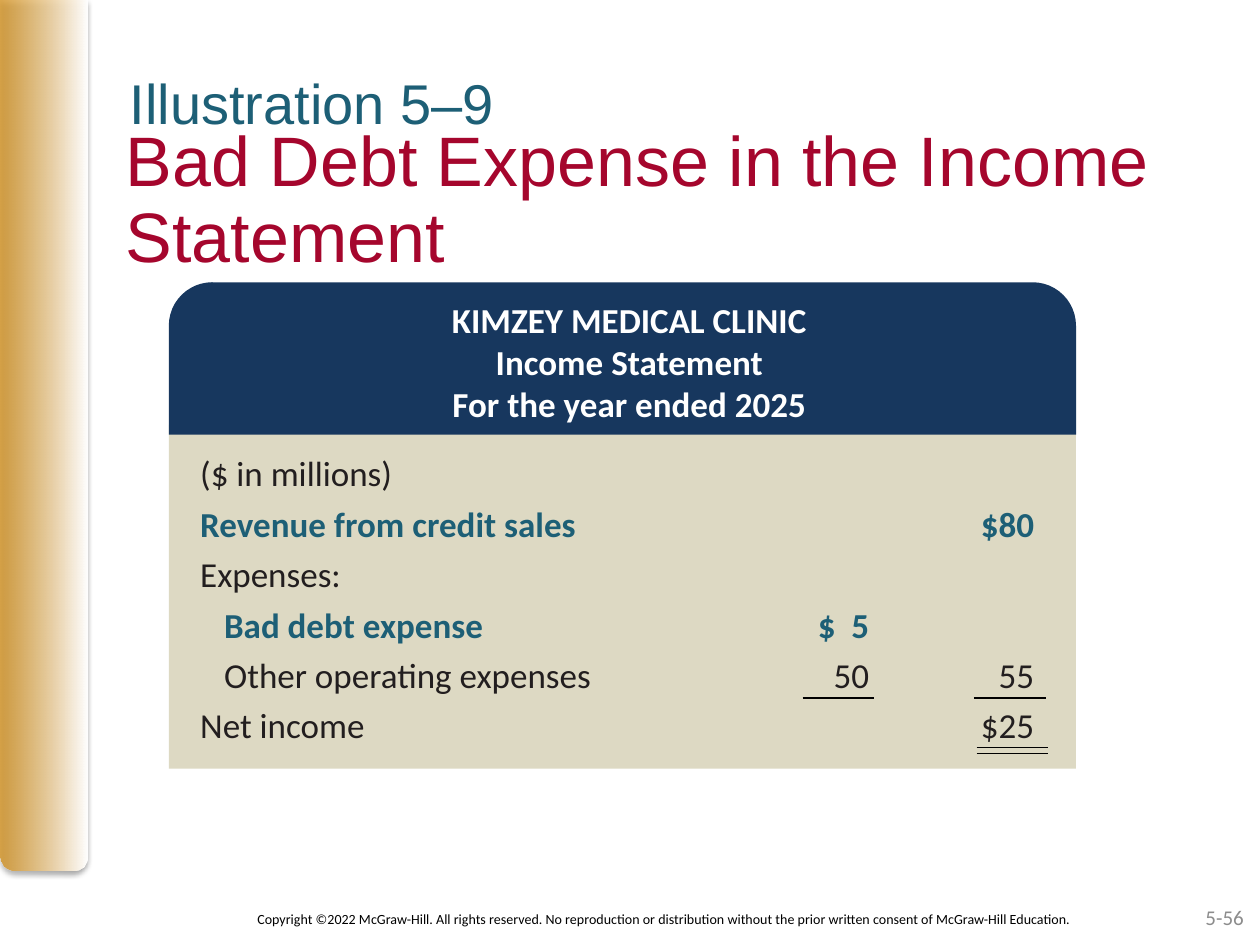
from lxml.etree import SubElement
from pptx import Presentation
from pptx.dml.color import RGBColor
from pptx.enum.shapes import MSO_CONNECTOR, MSO_SHAPE
from pptx.enum.text import MSO_ANCHOR, PP_ALIGN
from pptx.oxml.ns import qn
from pptx.util import Inches, Pt

GOLD = RGBColor(0xD4, 0x93, 0x23)
WHITE = RGBColor(0xFF, 0xFF, 0xFF)
BLACK = RGBColor(0x00, 0x00, 0x00)
GRAY = RGBColor(0x8C, 0x8C, 0x8C)
CRIMSON = RGBColor(0xA5, 0x06, 0x2D)
TEAL = RGBColor(0x1D, 0x5F, 0x76)
SAND = RGBColor(0xDD, 0xD9, 0xC3)
NAVY = RGBColor(0x17, 0x37, 0x5E)
INK = RGBColor(0x22, 0x1E, 0x1F)

COPYRIGHT = ("Copyright ©2022 McGraw-Hill. All rights reserved. No reproduction or "
             "distribution without the prior written consent of McGraw-Hill Education.")
HEADING = ["KIMZEY MEDICAL CLINIC", "Income Statement", "For the year ended 2025"]
STATEMENT = [
    {"label": "($ in millions)"},
    {"label": "Revenue from credit sales", "total": "$80", "strong": True},
    {"label": "Expenses:"},
    {"label": "Bad debt expense", "detail": "$  5", "indented": True, "strong": True},
    {"label": "Other operating expenses", "detail": "50", "total": "55", "indented": True},
    {"label": "Net income", "total": "$25"},
]
INDENT_TAB = (0.19, "l")
AMOUNT_TABS = [(5.31, "r"), (6.62, "r")]
RULE_WIDTH = 0.57
RULES = [(6.37, 5.54), (7.73, 5.54), (7.75, 5.93), (7.75, 5.98)]


def add_text(slide, place, lines, font, size, color, bold=False,
             align=PP_ALIGN.LEFT, anchor=MSO_ANCHOR.TOP, spacing=None, insets=None):
    box = slide.shapes.add_textbox(*map(Inches, place))
    frame = box.text_frame
    frame.word_wrap = True
    frame.vertical_anchor = anchor
    if insets:
        (frame.margin_left, frame.margin_top,
         frame.margin_right, frame.margin_bottom) = map(Inches, insets)
    frame.text = "\n".join(lines)
    for para in frame.paragraphs:
        para.alignment = align
        if spacing:
            para.line_spacing = spacing
        for span in para.runs:
            span.font.name = font
            span.font.size = Pt(size)
            span.font.bold = bold
            span.font.color.rgb = color
    return frame


def add_panel(slide, kind, place, color=None):
    panel = slide.shapes.add_shape(kind, *map(Inches, place))
    panel.shadow.inherit = False
    panel.line.fill.background()
    if color is not None:
        panel.fill.solid()
        panel.fill.fore_color.rgb = color
    return panel


def add_side_bar(slide):
    bar = add_panel(slide, MSO_SHAPE.ROUND_2_SAME_RECTANGLE, (0, 0, 0.69, 6.91))
    bar.adjustments[0], bar.adjustments[1] = 0, 0.17
    bar.fill.gradient()
    bar.fill.gradient_angle = 0
    for stop, color in zip(bar.fill.gradient_stops, (GOLD, WHITE)):
        stop.color.rgb = color
    properties = bar.element.spPr
    gold = properties.find(".//" + qn("a:srgbClr"))
    SubElement(gold, qn("a:alpha"), val="80000")
    shadow = SubElement(properties.find(qn("a:effectLst")), qn("a:outerShdw"),
                        blurRad=str(Pt(3.1)), dist=str(Pt(1.8)), dir="5400000", rotWithShape="0")
    shade = SubElement(shadow, qn("a:srgbClr"), val="000000")
    SubElement(shade, qn("a:alpha"), val="35000")


def set_tabs(para, tabs):
    tab_list = SubElement(para._p.get_or_add_pPr(), qn("a:tabLst"))
    for position, side in tabs:
        SubElement(tab_list, qn("a:tab"), pos=str(Inches(position)), algn=side)


def statement_line(row):
    amounts = [row.get("detail", ""), row.get("total", "")]
    text = "\t".join([row["label"]] + amounts).rstrip("\t")
    return "\t" + text if row.get("indented") else text


def add_statement(slide):
    frame = add_text(slide, (1.49, 3.47, 6.92, 2.51), map(statement_line, STATEMENT),
                     "Calibri", 20, INK, spacing=1.2)
    for para, row in zip(frame.paragraphs, STATEMENT):
        set_tabs(para, [INDENT_TAB] * row.get("indented", False) + AMOUNT_TABS)
        if row.get("strong"):
            for span in para.runs:
                span.font.bold = True
                span.font.color.rgb = TEAL


def add_rule(slide, left, top):
    rule = slide.shapes.add_connector(MSO_CONNECTOR.STRAIGHT, Inches(left), Inches(top),
                                      Inches(left + RULE_WIDTH), Inches(top))
    rule.line.color.rgb = BLACK
    rule.line.width = Pt(0.75)
    SubElement(rule.element.spPr, qn("a:effectLst"))


def main():
    deck = Presentation()
    deck.slide_width, deck.slide_height = Inches(10), Inches(7.5)
    slide = deck.slides.add_slide(deck.slide_layouts[6])

    add_side_bar(slide)
    add_text(slide, (1.46, 7.18, 7.63, 0.24), [COPYRIGHT], "Calibri", 8, BLACK,
             align=PP_ALIGN.CENTER)
    add_text(slide, (7.64, 7.08, 2.33, 0.4), ["5-56"], "Calibri", 12, GRAY,
             align=PP_ALIGN.RIGHT, anchor=MSO_ANCHOR.MIDDLE)
    add_text(slide, (1, 1, 9, 1.25), ["Bad Debt Expense in the Income Statement"],
             "Arial", 40, CRIMSON, spacing=0.9, insets=(0, 0, 0, 0))
    add_text(slide, (1.03, 0.5, 5.76, 0.46), ["Illustration 5–9"],
             "Arial", 32, TEAL, insets=(0, 0.04, 0, 0))

    add_panel(slide, MSO_SHAPE.RECTANGLE, (1.34, 3.37, 7.2, 2.73), SAND)
    header = add_panel(slide, MSO_SHAPE.ROUND_2_SAME_RECTANGLE, (1.34, 2.24, 7.2, 1.21), NAVY)
    header.adjustments[0] = 0.285
    add_text(slide, (1.63, 2.32, 6.73, 1.11), HEADING, "Calibri", 20, WHITE,
             bold=True, align=PP_ALIGN.CENTER)
    add_statement(slide)
    for left, top in RULES:
        add_rule(slide, left, top)

    deck.save("out.pptx")


if __name__ == "__main__":
    main()
